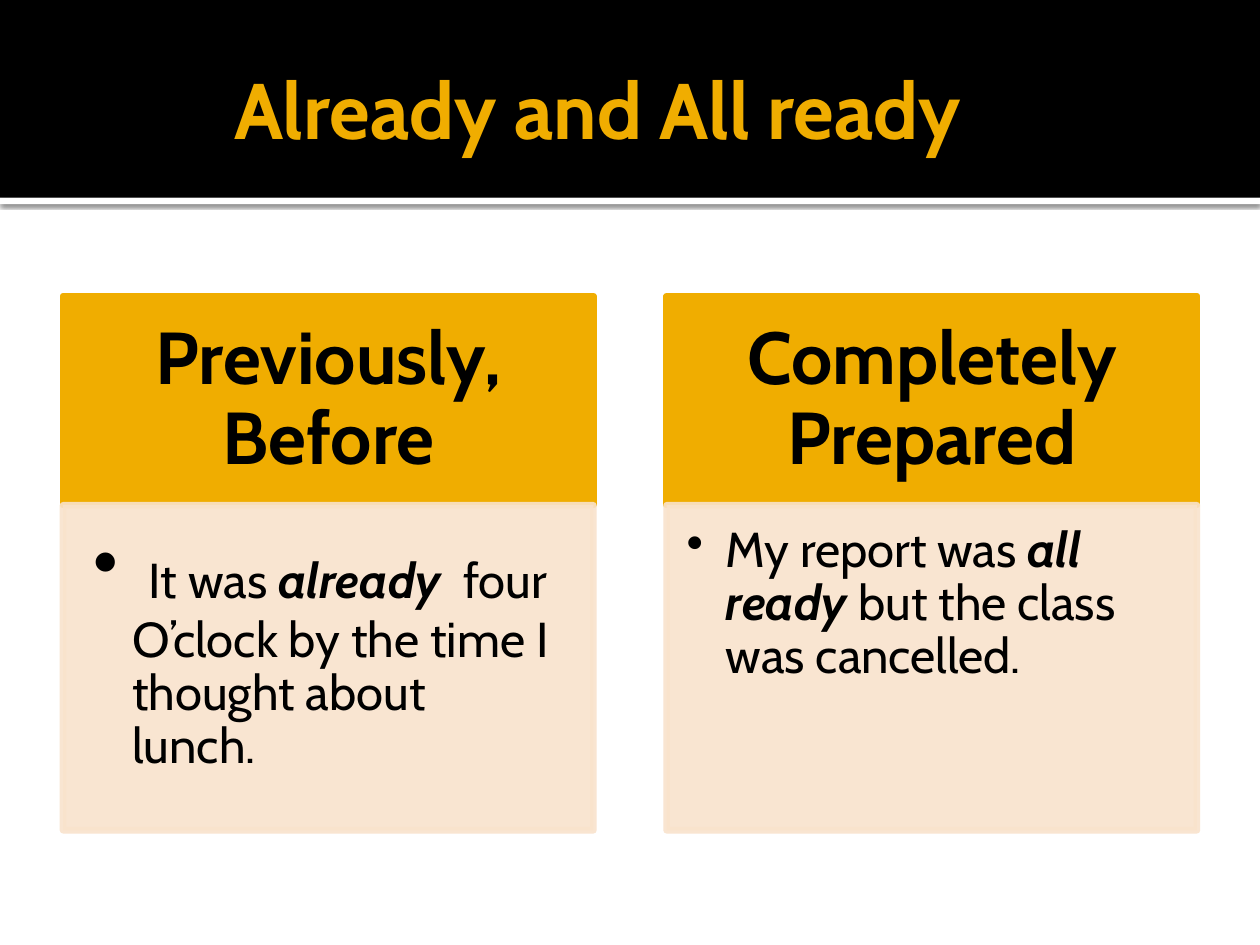
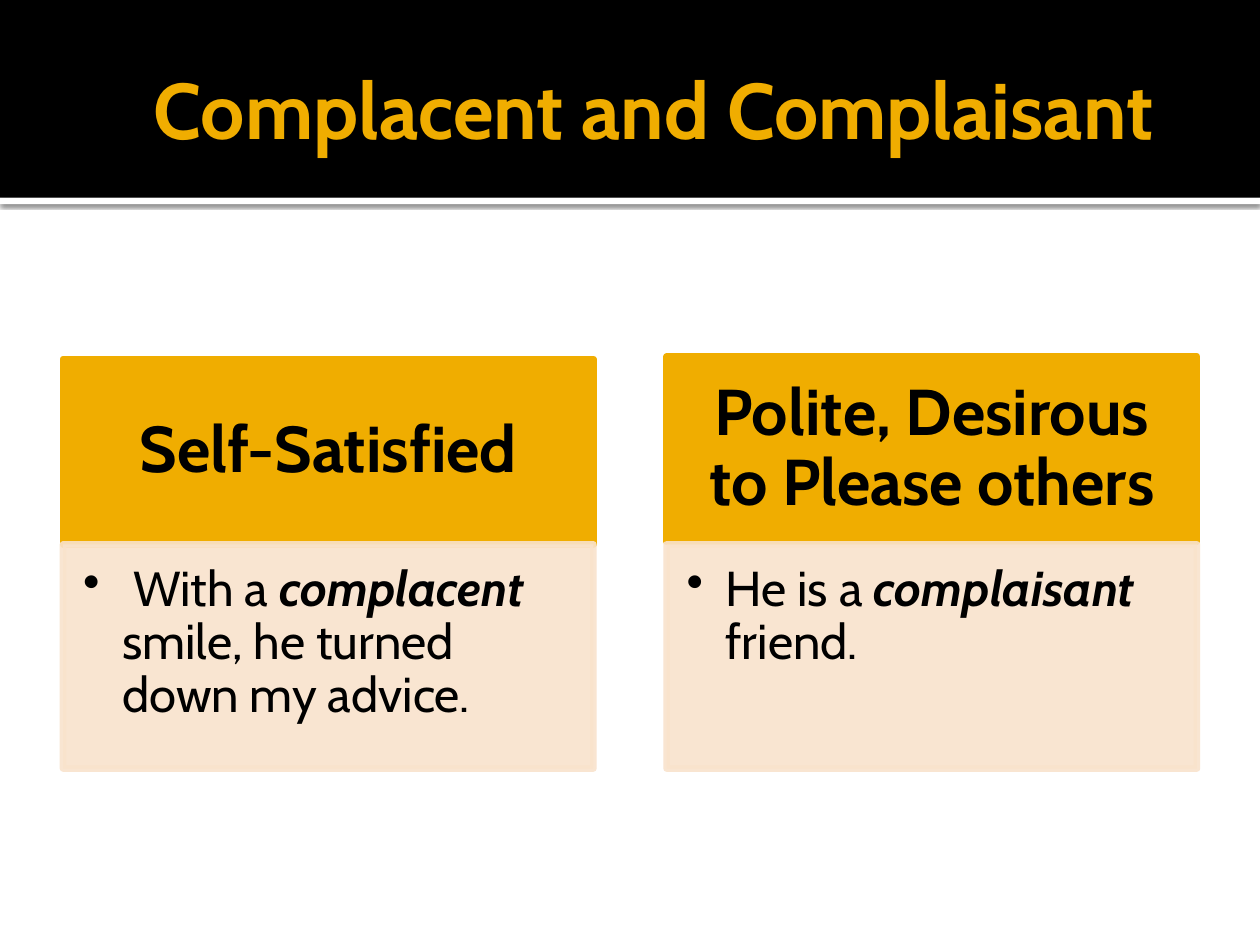
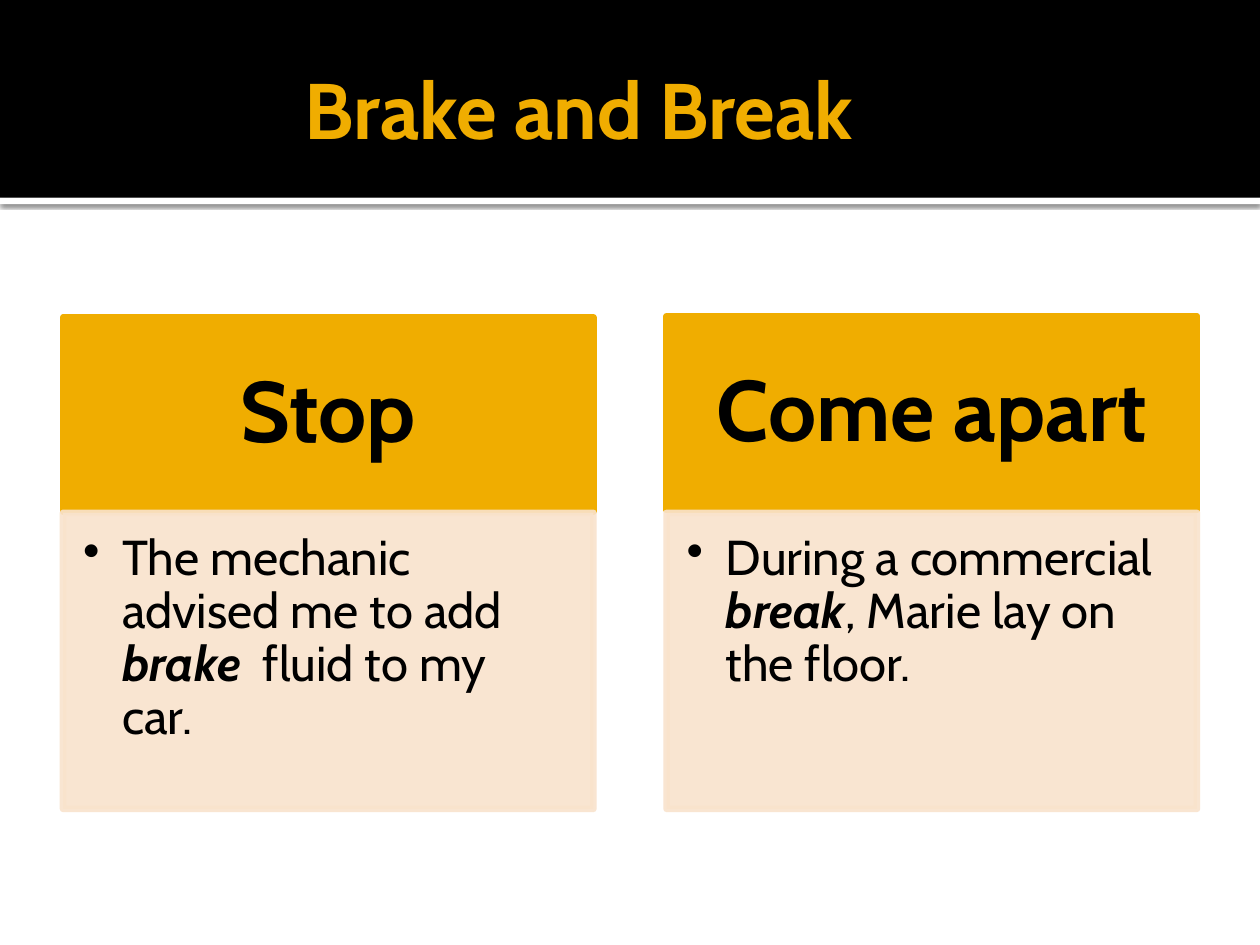
from dataclasses import dataclass

import pptx
import pptx.dml.color
import pptx.enum.shapes
import pptx.enum.text
import pptx.oxml
import pptx.oxml.ns
import pptx.util

Inches = pptx.util.Inches
Pt = pptx.util.Pt
Align = pptx.enum.text.PP_ALIGN
Anchor = pptx.enum.text.MSO_ANCHOR


@dataclass(frozen=True)
class Theme:
    font: str = "Cabin"
    black: str = "000000"
    white: str = "FFFFFF"
    amber: str = "F0AD00"
    cream: str = "F9E3CC"
    title_size: int = 45
    body_size: int = 28
    outline: float = 3.78
    line_spacing: float = 0.9
    indent: float = 0.31


THEME = Theme()
EMPHASIS = {"bold": True, "italic": True}
BODY_MARGINS = (0.16, 0.16, 0.22, 0.24)
COLUMN_LEFTS = (0.5, 5.29)
COLUMN_WIDTH = 4.21


def rgb(value):
    return pptx.dml.color.RGBColor.from_string(value)


def drawing_xml(body):
    return pptx.oxml.parse_xml(body.replace(">", f' {pptx.oxml.ns.nsdecls("a")}>', 1))


def write(frame, runs, *, size, color=THEME.black, bold=False, align=Align.LEFT,
          anchor=Anchor.MIDDLE, margins=(0, 0, 0, 0), spacing=1.0, bullet=False):
    """Fill a frame with one paragraph; each run is (text, format overrides)."""
    frame.word_wrap = True
    frame.auto_size = pptx.enum.text.MSO_AUTO_SIZE.NONE
    frame.vertical_anchor = anchor
    (frame.margin_left, frame.margin_top,
     frame.margin_right, frame.margin_bottom) = map(Inches, margins)
    paragraph = frame.paragraphs[0]
    paragraph.alignment = align
    paragraph.line_spacing = spacing
    if bullet:
        properties = paragraph._p.get_or_add_pPr()
        properties.set("marL", str(Inches(THEME.indent)))
        properties.set("indent", str(-Inches(THEME.indent)))
        properties.append(drawing_xml('<a:buChar char="•"></a:buChar>'))
    for text, changes in runs:
        run = paragraph.add_run()
        run.text = text
        run.font.name = THEME.font
        run.font.size = Pt(changes.get("size", size))
        run.font.bold = changes.get("bold", bold)
        run.font.italic = changes.get("italic", False)
        run.font.color.rgb = rgb(color)


def add_panel(slide, box, color, *, outlined=False, opacity=None):
    panel = slide.shapes.add_shape(
        pptx.enum.shapes.MSO_SHAPE.RECTANGLE, *map(Inches, box))
    panel.shadow.inherit = False
    panel.fill.solid()
    panel.fill.fore_color.rgb = rgb(color)
    if outlined:
        panel.line.color.rgb = rgb(color)
        panel.line.width = Pt(THEME.outline)
    else:
        panel.line.fill.background()
    if opacity:
        for tint in panel._element.spPr.iter(pptx.oxml.ns.qn("a:srgbClr")):
            tint.append(drawing_xml(f'<a:alpha val="{opacity * 1000}"></a:alpha>'))
    return panel


def add_shared_band(slide):
    """Draw the title band, then move it to the layout behind every title."""
    rule = add_panel(slide, (0, 1.57, 10, 0.05), THEME.white)
    rule._element.spPr.find(pptx.oxml.ns.qn("a:effectLst")).append(drawing_xml(
        f'<a:outerShdw blurRad="{Pt(2.5)}" dist="{Pt(0.8)}" dir="5400000" rotWithShape="0">'
        f'<a:srgbClr val="{THEME.black}"><a:alpha val="60000"/></a:srgbClr></a:outerShdw>'))
    band = add_panel(slide, (0, 0, 10, 1.57), THEME.black)
    layout_tree = slide.slide_layout.shapes._spTree
    for position, part in enumerate((rule, band), start=2):
        layout_tree.insert(position, part._element)


def add_title(slide, box, text, indent):
    title = slide.shapes.title
    title.left, title.top, title.width, title.height = map(Inches, box)
    write(title.text_frame, [(text, {})], size=THEME.title_size, color=THEME.amber,
          bold=True, margins=(0.1 + indent, 0.05, 0.05, 0.05))


def add_card(slide, box, meaning, example, *, header_height, body_top,
             meaning_size, inset, body_margins=BODY_MARGINS):
    """Place a meaning header over its example sentence."""
    left, top, width, height = box
    header = add_panel(slide, (left, top, width, header_height), THEME.amber, outlined=True)
    write(header.text_frame, [(meaning, {})], size=meaning_size, bold=True,
          align=Align.CENTER, margins=inset * 2, spacing=THEME.line_spacing)
    body = add_panel(slide, (left, body_top, width, top + height - body_top),
                     THEME.cream, outlined=True, opacity=90)
    write(body.text_frame, example, size=THEME.body_size, anchor=Anchor.TOP,
          margins=body_margins, spacing=THEME.line_spacing, bullet=True)


def add_word_pair(slide, content):
    add_title(slide, content["title_box"], content["title"], content["title_indent"])
    for left, card in zip(COLUMN_LEFTS, content["cards"]):
        top = card["top"]
        add_card(slide, (left, top, COLUMN_WIDTH, content["bottom"] - top),
                 card["meaning"], card["example"],
                 body_margins=card.get("body_margins", BODY_MARGINS),
                 **content["card_style"])


TITLE_BOX = (0.5, 0.17, 9, 1.37)
WORD_PAIRS = [
    {
        "title": "Already and All ready", "title_box": TITLE_BOX, "title_indent": 1.26,
        "bottom": 6.59,
        "card_style": dict(header_height=1.66, body_top=4.01, meaning_size=42,
                           inset=(0.33, 0.19)),
        "cards": [
            {"top": 2.35, "meaning": "Previously, Before",
             "body_margins": (0.24, 0.24, 0.33, 0.37),
             "example": [(" ", {"size": 42}), ("It was ", {}), ("already", EMPHASIS),
                         ("  four O’clock by the time I thought about lunch.", {})]},
            {"top": 2.35, "meaning": "Completely Prepared",
             "example": [("My report was ", {}), ("all ready ", EMPHASIS),
                         ("but the class was cancelled.", {})]},
        ],
    },
    {
        "title": "Complacent and Complaisant", "title_box": (0, 0.17, 9.5, 1.37),
        "title_indent": 1.12, "bottom": 6.1,
        "card_style": dict(header_height=1.47, body_top=4.32, meaning_size=37,
                           inset=(0.29, 0.16)),
        "cards": [
            {"top": 2.85, "meaning": "Self-Satisfied",
             "example": [(" With a ", {}), ("complacent", EMPHASIS),
                         (" smile, he turned down my advice.", {})]},
            {"top": 2.83, "meaning": "Polite, Desirous to Please others",
             "example": [("He is a", {}), (" complaisant ", EMPHASIS), ("friend.", {})]},
        ],
    },
    {
        "title": "Brake and Break", "title_box": TITLE_BOX, "title_indent": 1.82,
        "bottom": 6.42,
        "card_style": dict(header_height=1.54, body_top=4.07, meaning_size=49,
                           inset=(0.38, 0.22)),
        "cards": [
            {"top": 2.52, "meaning": "Stop",
             "example": [("The mechanic advised me to add ", {}), ("brake", EMPHASIS),
                         ("  fluid to my car.", {})]},
            {"top": 2.51, "meaning": "Come apart",
             "example": [("During a commercial ", {}), ("break", EMPHASIS),
                         (", Marie lay on the floor.", {})]},
        ],
    },
]

deck = pptx.Presentation()
deck.slide_width, deck.slide_height = Inches(10), Inches(7.5)
title_only = deck.slide_layouts.get_by_name("Title Only")
for number, word_pair in enumerate(WORD_PAIRS):
    page = deck.slides.add_slide(title_only)
    if number == 0:
        add_shared_band(page)
    add_word_pair(page, word_pair)
deck.save("out.pptx")
